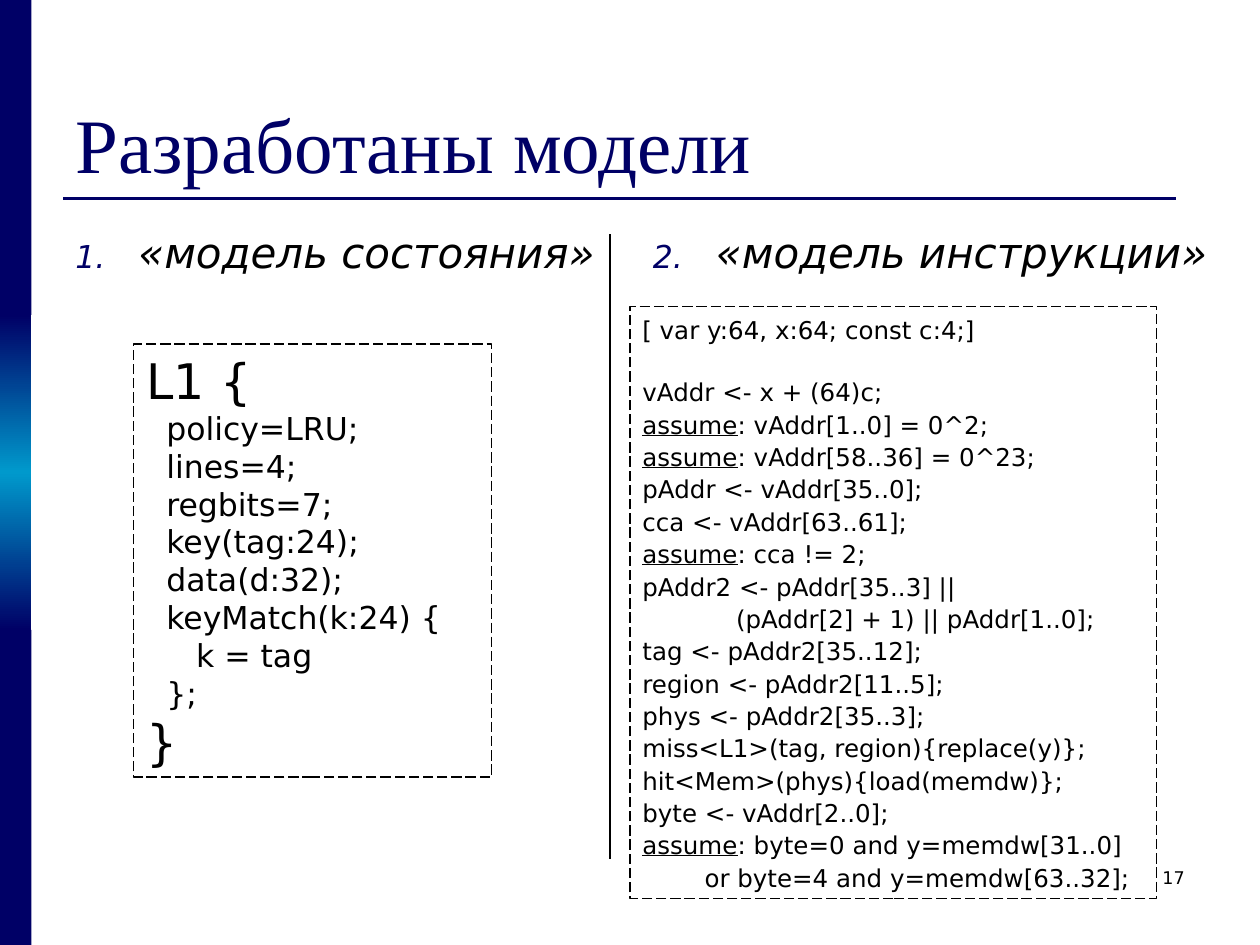
from copy import deepcopy
from dataclasses import dataclass

from lxml.etree import SubElement
from pptx import Presentation
from pptx.dml.color import RGBColor
from pptx.enum.dml import MSO_LINE
from pptx.enum.shapes import MSO_CONNECTOR, MSO_SHAPE
from pptx.enum.text import MSO_ANCHOR, MSO_AUTO_SIZE, PP_ALIGN
from pptx.oxml.ns import qn
from pptx.util import Pt


@dataclass(frozen=True)
class Theme:
    """Colours, fonts and type sizes of the slide."""
    navy: RGBColor = RGBColor(0x00, 0x00, 0x66)
    cyan: RGBColor = RGBColor(0x00, 0x99, 0xCC)
    black: RGBColor = RGBColor(0x00, 0x00, 0x00)
    title_font: str = "Times New Roman"
    body_font: str = "DejaVu Sans"
    title_size: int = 44
    heading_size: int = 24
    brace_size: int = 28
    state_size: int = 18
    instruction_size: int = 14
    number_size: int = 10


THEME = Theme()

STATE_CODE = [
    ("L1 {", THEME.brace_size, 0),
    ("policy=LRU;\nlines=4;", THEME.state_size, 11.5),
    ("regbits=7;", THEME.state_size, 11.5),
    ("key(tag:24);", THEME.state_size, 11.5),
    ("data(d:32);\nkeyMatch(k:24) {", THEME.state_size, 11.5),
    ("k = tag", THEME.state_size, 28.5),
    ("};", THEME.state_size, 11.5),
    ("}", THEME.brace_size, 0),
]

INSTRUCTION_CODE = [(text, THEME.instruction_size, indent) for text, indent in [
    ("[ var y:64, x:64; const c:4;]", 0),
    ("vAddr <- x + (64)c;", 0),
    ("assume: vAddr[1..0] = 0^2;", 0),
    ("assume: vAddr[58..36] = 0^23;", 0),
    ("pAddr <- vAddr[35..0];", 0),
    ("cca <- vAddr[63..61];", 0),
    ("assume: cca != 2;", 0),
    ("pAddr2 <- pAddr[35..3] ||", 0),
    ("(pAddr[2] + 1) || pAddr[1..0];", 53.5),
    ("tag <- pAddr2[35..12];", 0),
    ("region <- pAddr2[11..5];", 0),
    ("phys <- pAddr2[35..3];", 0),
    ("miss<L1>(tag, region){replace(y)};", 0),
    ("hit<Mem>(phys){load(memdw)};", 0),
    ("byte <- vAddr[2..0];", 0),
    ("assume: byte=0 and y=memdw[31..0]", 0),
    ("or byte=4 and y=memdw[63..32];", 35.5),
]]


def add_text_run(paragraph, text, size, font=THEME.body_font, color=THEME.black):
    """Append a formatted run and return it."""
    run = paragraph.add_run()
    run.text = text
    run.font.size = Pt(size)
    run.font.name = font
    run.font.color.rgb = color
    return run


def set_indent(paragraph, left, first=0):
    """Set the left margin and first-line indent of a paragraph."""
    properties = paragraph._p.get_or_add_pPr()
    properties.set("marL", str(Pt(left)))
    properties.set("indent", str(Pt(first)))
    return properties


def add_rule(slide, left, top, right, bottom, color, width):
    """Draw a straight line without shadow."""
    line = slide.shapes.add_connector(
        MSO_CONNECTOR.STRAIGHT, Pt(left), Pt(top), Pt(right), Pt(bottom))
    line.line.color.rgb = color
    line.line.width = Pt(width)
    SubElement(line._element.spPr, qn("a:effectLst"))


def add_rectangle(slide, left, top, width, height):
    """Add a rectangle without shadow."""
    shape = slide.shapes.add_shape(
        MSO_SHAPE.RECTANGLE, Pt(left), Pt(top), Pt(width), Pt(height))
    shape.shadow.inherit = False
    return shape


def add_side_band(slide, left, top, width, height):
    """Stack three equal blocks, the middle one with a gradient."""
    block = height / 3
    for index in range(3):
        shape = add_rectangle(slide, left, top + index * block, width, block)
        shape.line.fill.background()
        if index != 1:
            shape.fill.solid()
            shape.fill.fore_color.rgb = THEME.navy
            continue
        shape.fill.gradient()
        shape.fill.gradient_angle = 90
        stop_list = shape._element.spPr.find(qn("a:gradFill")).find(qn("a:gsLst"))
        stop_list.insert(1, deepcopy(stop_list[0]))
        colors = (THEME.navy, THEME.cyan, THEME.navy)
        for step, (stop, color) in enumerate(zip(shape.fill.gradient_stops, colors)):
            stop.position = step / 2
            stop.color.rgb = color


def add_title(slide, left, top, width, height, text):
    """Place the title above its underline."""
    title = slide.shapes.title
    title.left, title.top, title.width, title.height = map(Pt, (left, top, width, height))
    frame = title.text_frame
    frame.auto_size = MSO_AUTO_SIZE.NONE
    frame.vertical_anchor = MSO_ANCHOR.BOTTOM
    paragraph = frame.paragraphs[0]
    paragraph.alignment = PP_ALIGN.LEFT
    add_text_run(paragraph, text, THEME.title_size, THEME.title_font, THEME.navy)
    rule_top = top + height + 2
    add_rule(slide, left, rule_top, left + 636, rule_top, THEME.navy, 1.5)


def add_heading(slide, left, top, width, height, number, text):
    """Add a numbered italic column heading."""
    frame = slide.shapes.add_textbox(Pt(left), Pt(top), Pt(width), Pt(height)).text_frame
    frame.word_wrap = True
    paragraph = frame.paragraphs[0]
    paragraph.space_before = Pt(6)
    properties = set_indent(paragraph, 36, -36)
    bullet_color = SubElement(properties, qn("a:buClr"))
    SubElement(bullet_color, qn("a:srgbClr"), val=str(THEME.navy))
    SubElement(properties, qn("a:buSzPct"), val="75000")
    SubElement(properties, qn("a:buFont"), typeface=THEME.body_font)
    SubElement(properties, qn("a:buAutoNum"), type="arabicPeriod", startAt=str(number))
    add_text_run(paragraph, text, THEME.heading_size).font.italic = True


def add_code_box(slide, left, top, width, height, lines, spacing=1.0, first_gap=0):
    """Add a dashed box of code, underlining each leading keyword."""
    box = add_rectangle(slide, left, top, width, height)
    box.fill.background()
    box.line.color.rgb = THEME.black
    box.line.width = Pt(0.75)
    box.line.dash_style = MSO_LINE.LONG_DASH
    frame = box.text_frame
    frame.word_wrap = True
    frame.auto_size = MSO_AUTO_SIZE.SHAPE_TO_FIT_TEXT
    frame.vertical_anchor = MSO_ANCHOR.TOP
    for index, (text, size, indent) in enumerate(lines):
        paragraph = frame.add_paragraph() if index else frame.paragraphs[0]
        paragraph.alignment = PP_ALIGN.LEFT
        paragraph.line_spacing = spacing
        paragraph.space_after = Pt(0 if index else first_gap)
        set_indent(paragraph, indent)
        if text.startswith("assume"):
            add_text_run(paragraph, "assume", size).font.underline = True
            text = text.removeprefix("assume")
        for part_index, part in enumerate(text.split("\n")):
            if part_index:
                paragraph.add_line_break()
            add_text_run(paragraph, part, size)


def add_page_number(slide, left, top, width, height, number):
    """Add the right-aligned page number."""
    frame = slide.shapes.add_textbox(Pt(left), Pt(top), Pt(width), Pt(height)).text_frame
    frame.word_wrap = True
    paragraph = frame.paragraphs[0]
    paragraph.alignment = PP_ALIGN.RIGHT
    add_text_run(paragraph, number, THEME.number_size)


def main():
    """Build the slide and save it."""
    presentation = Presentation()
    presentation.slide_width, presentation.slide_height = Pt(720), Pt(540)
    slide = presentation.slides.add_slide(presentation.slide_layouts[5])
    add_side_band(slide, 0, 0, 18, 540)
    add_title(slide, 36, 21.6, 648, 90, "Разработаны модели")
    add_heading(slide, 36, 126, 318, 356, 1, "«модель состояния»")
    add_heading(slide, 366, 126, 334, 356, 2, "«модель инструкции»")
    add_rule(slide, 348.5, 134, 348.5, 491, THEME.black, 0.75)
    add_code_box(slide, 76.5, 196.5, 204.5, 247.5, STATE_CODE)
    add_code_box(slide, 360, 175, 301, 338.5, INSTRUCTION_CODE, 1.1, 17)
    add_page_number(slide, 516, 492, 168, 36, "17")
    presentation.save("out.pptx")


if __name__ == "__main__":
    main()
